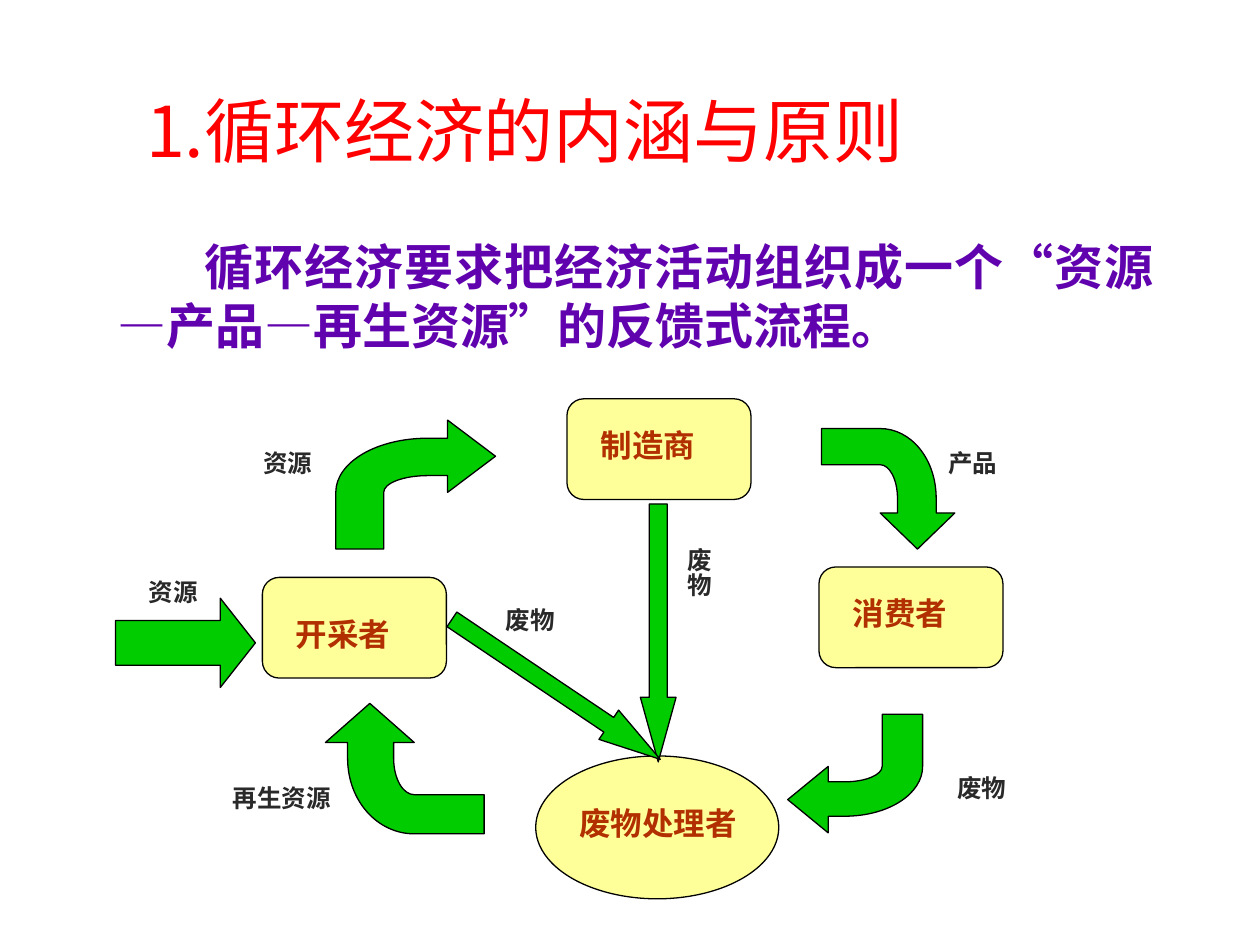
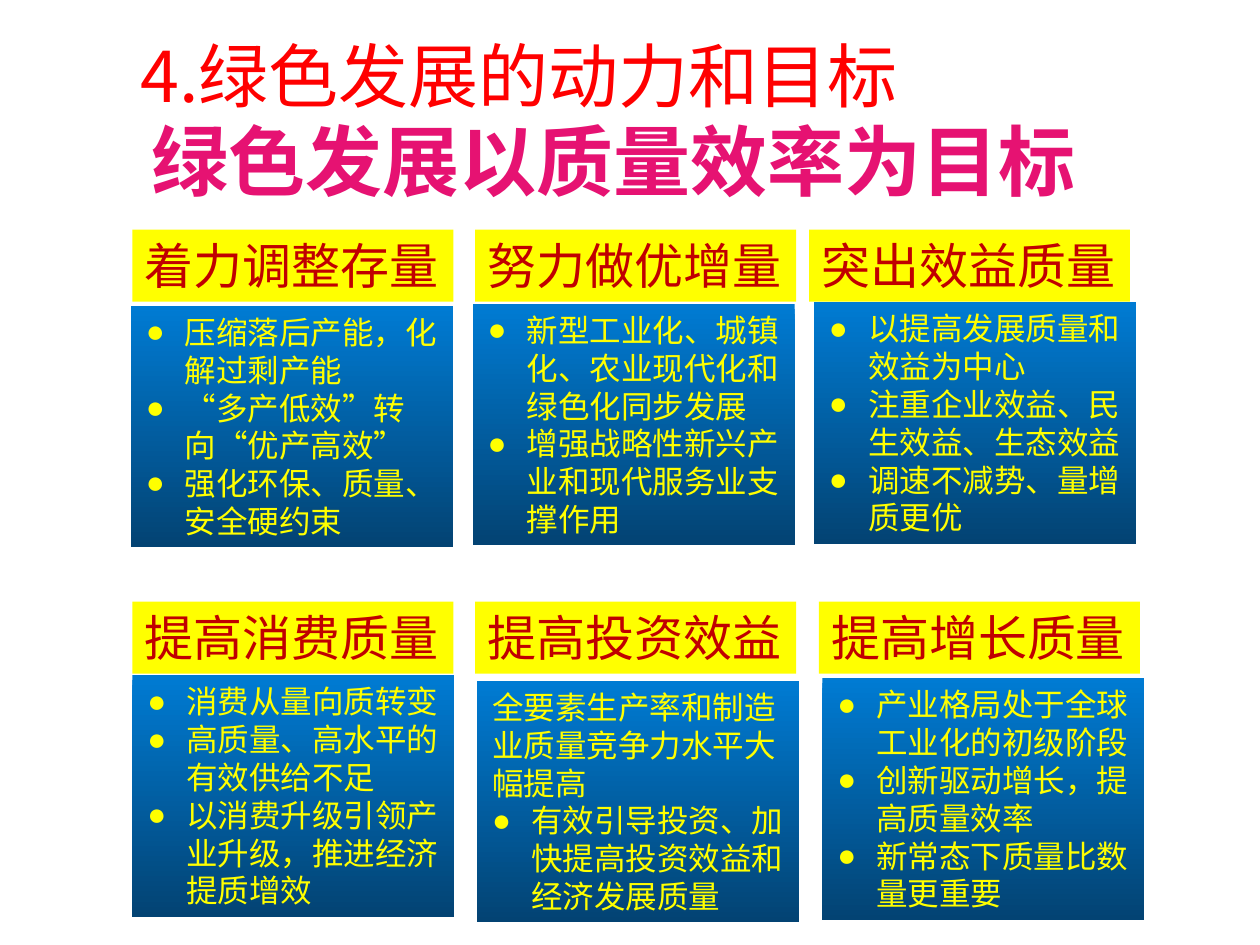
from lxml.etree import SubElement
from pptx import Presentation
from pptx.dml.color import RGBColor
from pptx.enum.lang import MSO_LANGUAGE_ID as Language
from pptx.enum.shapes import MSO_SHAPE as Shape
from pptx.enum.text import MSO_ANCHOR as Anchor
from pptx.enum.text import MSO_AUTO_SIZE as AutoSize
from pptx.enum.text import PP_ALIGN as Align
from pptx.oxml.ns import qn
from pptx.util import Cm, Pt

CJK = "Noto Sans CJK SC"
SERIF = "Times New Roman"
RED, PINK, PURPLE = "FF0000", "E61272", "6002AE"
BROWN, DARK, BLACK = "B12F01", "292929", "000000"
GREEN, CREAM = "00CC00", "FFFF99"
YELLOW, CRIMSON = "FFFF00", "C00000"
CARD_TOP, CARD_BOTTOM = "007BD3", "034373"

TITLE_ONLY = 5
NODE_SIZE = (3.71, 2.03)
HEADING_SIZE = (6.47, 1.45)
CARD_SIZE = (6.49, 4.87)
BULLET_INDENT = 0.79

# Bent arrow in a unit square, from the tip; each curve is two controls and an end
BENT_ARROW = [
    (0, 0.28), (0.3, 0), (0.3, 0.14), (0.42, 0.14),
    (0.75, 0.14), (1, 0.33), (1, 0.56),
    (1, 1), (0.7, 1), (0.7, 0.56),
    (0.7, 0.49), (0.58, 0.43), (0.42, 0.43),
    (0.3, 0.43), (0.3, 0.56),
]
CURVE_STARTS = (4, 10)

# Heading position, heading, card position, unbulleted lead, bulleted points
CARDS = [
    ((2.67, 4.63), "着力调整存量", (2.64, 6.16), [],
     ["压缩落后产能，化解过剩产能", "“多产低效”转向“优产高效”",
      "强化环保、质量、安全硬约束"]),
    ((9.58, 4.63), "努力做优增量", (9.53, 6.12), [],
     ["新型工业化、城镇化、农业现代化和绿色化同步发展",
      "增强战略性新兴产业和现代服务业支撑作用"]),
    ((16.31, 4.63), "突出效益质量", (16.41, 6.09), [],
     ["以提高发展质量和效益为中心", "注重企业效益、民生效益、生态效益",
      "调速不减势、量增质更优"]),
    ((2.67, 12.13), "提高消费质量", (2.67, 13.61), [],
     ["消费从量向质转变", "高质量、高水平的有效供给不足",
      "以消费升级引领产业升级，推进经济提质增效"]),
    ((9.58, 12.13), "提高投资效益", (9.62, 13.72),
     ["全要素生产率和制造业质量竞争力水平大幅提高"],
     ["有效引导投资、加快提高投资效益和经济发展质量"]),
    ((16.51, 12.13), "提高增长质量", (16.58, 13.67), [],
     ["产业格局处于全球工业化的初级阶段", "创新驱动增长，提高质量效率",
      "新常态下质量比数量更重要"]),
]


def color(hex_text):
    return RGBColor.from_string(hex_text)


def place(position, size):
    return [Cm(value) for value in (*position, *size)]


def format_text(frame, size, fill, font=CJK, bold=False, align=Align.LEFT):
    for para in frame.paragraphs:
        para.alignment = align
        for span in para.runs:
            span.font.size = Pt(size)
            span.font.bold = bold
            span.font.color.rgb = color(fill)
            span.font.name = font
            span.font.language_id = Language.SIMPLIFIED_CHINESE
            SubElement(span.font._element, qn("a:ea"), typeface=CJK)


def set_indent(para, left, first):
    properties = para._p.get_or_add_pPr()
    properties.set("marL", str(Cm(left)))
    properties.set("indent", str(Cm(first)))
    return properties


def set_title(page, text, position, size, points, fill, bold=False):
    title = page.shapes.title
    title.left, title.top, title.width, title.height = place(position, size)
    frame = title.text_frame
    frame.text = text
    frame.vertical_anchor = Anchor.BOTTOM
    frame.auto_size = AutoSize.NONE
    format_text(frame, points, fill, bold=bold)


def add_text(page, text, position, size, *style, **options):
    box = page.shapes.add_textbox(*place(position, size))
    box.text_frame.word_wrap = True
    box.text_frame.text = text
    format_text(box.text_frame, *style, **options)
    return box


def add_label(page, text, position, size, points=14, fill=DARK):
    return add_text(page, text, position, size, points, fill, SERIF, True,
                    align=Align.JUSTIFY)


def paint(shape, fill, outlined=True):
    shape.shadow.inherit = False
    shape.fill.solid()
    shape.fill.fore_color.rgb = color(fill)
    if outlined:
        shape.line.color.rgb = color(BLACK)
        shape.line.width = Pt(0.75)
    else:
        shape.line.fill.background()


def add_figure(page, kind, position, size, fill, adjustments=(), rotation=0):
    shape = page.shapes.add_shape(kind, *place(position, size))
    paint(shape, fill)
    for index, value in enumerate(adjustments):
        shape.adjustments[index] = value
    shape.rotation = rotation


def bend(shape, starts):
    """Turn the three line segments from each start into one cubic curve."""
    outline = next(shape.element.iter(qn("a:path")))
    segments = list(outline)
    for start in starts:
        curve = outline.makeelement(qn("a:cubicBezTo"))
        segments[start].addprevious(curve)
        for segment in segments[start:start + 3]:
            curve.append(segment[0])
            outline.remove(segment)


def add_bent_arrow(page, corner, span, upright=False):
    """Draw a bent arrow from the corner beside its head; a span may be negative."""
    points = []
    for along, across in BENT_ARROW:
        x, y = (across, along) if upright else (along, across)
        points.append((Cm(corner[0] + span[0] * x), Cm(corner[1] + span[1] * y)))
    builder = page.shapes.build_freeform(*points[0])
    builder.add_line_segments(points[1:], close=True)
    arrow = builder.convert_to_shape()
    bend(arrow, CURVE_STARTS)
    paint(arrow, GREEN)


def add_heading(page, text, position):
    heading = page.shapes.add_shape(Shape.RECTANGLE, *place(position, HEADING_SIZE))
    paint(heading, YELLOW, outlined=False)
    frame = heading.text_frame
    frame.text = text
    frame.word_wrap = False
    frame.vertical_anchor = Anchor.TOP
    format_text(frame, 28, CRIMSON)


def add_card(page, position, lead, points):
    card = page.shapes.add_shape(Shape.RECTANGLE, *place(position, CARD_SIZE))
    paint(card, CARD_TOP, outlined=False)
    card.fill.gradient()
    card.fill.gradient_angle = 270
    for stop, shade in zip(card.fill.gradient_stops, (CARD_TOP, CARD_BOTTOM)):
        stop.color.rgb = color(shade)
    frame = card.text_frame
    frame.text = "\n".join(lead + points)
    frame.word_wrap = True
    frame.vertical_anchor = Anchor.MIDDLE
    frame.margin_left = Cm(0.3)
    frame.margin_right = Cm(0.2)
    format_text(frame, 18, YELLOW)
    for para in frame.paragraphs[len(lead):]:
        properties = set_indent(para, BULLET_INDENT, -BULLET_INDENT)
        SubElement(properties, qn("a:buFont"), typeface="Arial")
        SubElement(properties, qn("a:buChar"), char="●")


def build_cycle(page):
    set_title(page, "1.循环经济的内涵与原则", (2.69, 0.72), (19.89, 2.87), 40, RED)
    summary = add_text(
        page, "循环经济要求把经济活动组织成一个“资源—产品—再生资源”的反馈式流程。",
        (0.88, 4.65), (22.65, 6.35), 28, PURPLE, "Arial", True,
        align=Align.JUSTIFY)
    para = summary.text_frame.paragraphs[0]
    para.space_before = Pt(5.6)
    set_indent(para, 1.24, 1.76)

    for name, corner, label_at in [
        ("制造商", (11.43, 8.04), (11.86, 8.46)),
        ("消费者", (16.51, 11.43), (16.94, 11.86)),
        ("开采者", (5.29, 11.64), (5.71, 12.27)),
    ]:
        add_figure(page, Shape.ROUNDED_RECTANGLE, corner, NODE_SIZE, CREAM, [0.167])
        add_label(page, name, label_at, (2.9, 1), 18, BROWN)
    add_figure(page, Shape.OVAL, (10.8, 15.24), (4.9, 2.88), CREAM)
    add_label(page, "废物处理者", (11.43, 16.08), (4.14, 1), 18, BROWN)

    add_bent_arrow(page, (15.88, 16.79), (2.72, -2.39))
    add_bent_arrow(page, (9.99, 8.47), (-3.22, 2.6))
    add_bent_arrow(page, (19.25, 11.07), (-2.69, -2.43), upright=True)
    add_bent_arrow(page, (6.56, 14.18), (3.2, 2.63), upright=True)
    add_figure(page, Shape.RIGHT_ARROW, (2.33, 12.06), (2.82, 1.8), GREEN,
               [0.5, 0.393])
    add_figure(page, Shape.DOWN_ARROW, (12.91, 10.16), (0.72, 5.2), GREEN,
               [0.5, 1.808])
    add_figure(page, Shape.LEFT_ARROW, (8.68, 13.54), (5.06, 0.71), GREEN,
               [0.5, 1.761], rotation=213.9)

    for flow, position, width in [
        ("资源", (5.06, 8.9), 2.77),
        ("产品", (18.87, 8.9), 2.31),
        ("废物", (19.05, 15.45), 2.31),
        ("资源", (2.75, 11.5), 2.31),
        ("再生资源", (4.44, 15.66), 3.68),
        ("废物", (9.95, 12.07), 2.31),
    ]:
        add_label(page, flow, position, (width, 0.97))
    waste = add_label(page, "废物", (13.14, 10.8), (1.38, 1.63))
    waste.element.txBody.bodyPr.set("vert", "eaVert")


def build_goals(page):
    set_title(page, "绿色发展以质量效率为目标", (2.8, 2.01), (20.6, 2.26), 44,
              PINK, bold=True)
    add_text(page, "4.绿色发展的动力和目标", (2.58, 0.53), (19.23, 1.96), 40, RED)
    for heading_at, heading, card_at, lead, points in CARDS:
        add_heading(page, heading, heading_at)
        add_card(page, card_at, lead, points)


def main():
    deck = Presentation()
    deck.slide_width, deck.slide_height = Cm(25.4), Cm(19.05)
    for build in (build_cycle, build_goals):
        build(deck.slides.add_slide(deck.slide_layouts[TITLE_ONLY]))
    deck.save("out.pptx")


if __name__ == "__main__":
    main()
